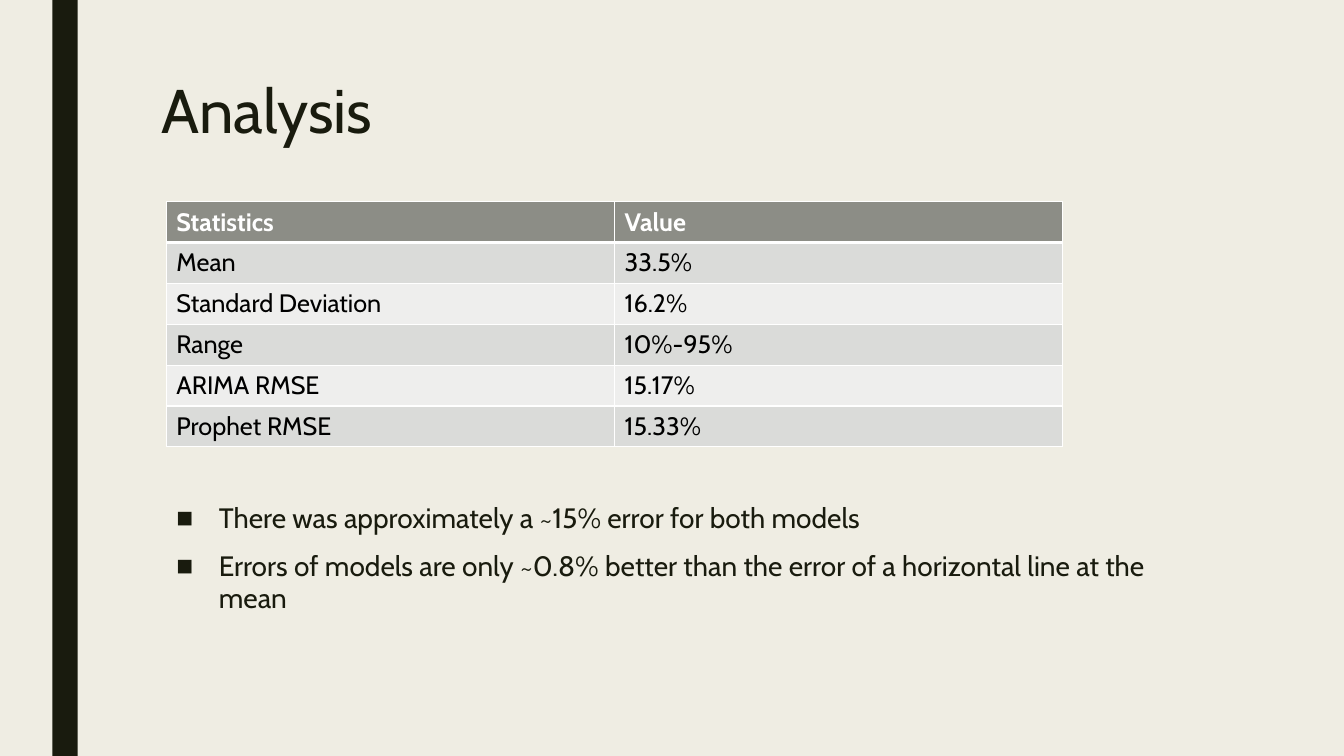
from lxml import etree
from pptx import Presentation
from pptx import util as u
from pptx.dml import color
from pptx.enum import shapes, text
from pptx.oxml import ns

INK = "191B0E"
STATISTICS = [
    ("Statistics", "Value"),
    ("Mean", "33.5%"),
    ("Standard Deviation", "16.2%"),
    ("Range", "10%-95%"),
    ("ARIMA RMSE", "15.17%"),
    ("Prophet RMSE", "15.33%"),
]
FINDINGS = [
    "There was approximately a ~15% error for both models",
    "Errors of models are only ~0.8% better than the error of a horizontal line at the mean",
]


def rgb(value):
    """Return the colour for a hex string."""
    return color.RGBColor.from_string(value)


def paint(fill, value):
    """Make a fill solid in the given colour."""
    fill.solid()
    fill.fore_color.rgb = rgb(value)


def apply(target, formats):
    """Set each attribute in a dict of format values."""
    for key, value in formats.items():
        setattr(target, key, value)


def style_font(font, size, value, bold=False):
    """Give a font the deck typeface, size, colour and weight."""
    apply(font, {"name": "Cabin", "size": u.Pt(size), "bold": bold})
    font.color.rgb = rgb(value)


def place(shape, box):
    """Move a shape to a box given in inches."""
    apply(shape, dict(zip(("left", "top", "width", "height"), map(u.Inches, box))))


def fit_frame(frame):
    """Anchor wrapped text at the top without resizing it."""
    apply(frame, {
        "word_wrap": True,
        "auto_size": text.MSO_AUTO_SIZE.NONE,
        "vertical_anchor": text.MSO_ANCHOR.TOP,
    })


def add_stripe(slide, box):
    """Draw the dark vertical stripe."""
    stripe = slide.shapes.add_shape(shapes.MSO_SHAPE.RECTANGLE, *map(u.Inches, box))
    paint(stripe.fill, INK)
    stripe.line.fill.background()
    stripe.shadow.inherit = False


def add_heading(slide, box, wording):
    """Fill the title placeholder."""
    heading = slide.shapes.title
    place(heading, box)
    fit_frame(heading.text_frame)
    line = heading.text_frame.paragraphs[0]
    line.text = wording
    apply(line, {"alignment": text.PP_ALIGN.LEFT, "line_spacing": 0.89})
    style_font(line.runs[0].font, 44, INK)


def add_findings(slide, box, findings):
    """Fill the body placeholder with square-bulleted findings."""
    body = slide.placeholders[1]
    place(body, box)
    frame = body.text_frame
    fit_frame(frame)
    frame.text = "\n".join(findings)
    hang = u.Inches(0.42)
    for finding in frame.paragraphs:
        apply(finding, {
            "alignment": text.PP_ALIGN.LEFT,
            "line_spacing": 0.94,
            "space_before": u.Pt(10),
            "space_after": u.Pt(2),
        })
        style_font(finding.runs[0].font, 20, INK)
        properties = finding._p.get_or_add_pPr()
        properties.set("marL", str(hang))
        properties.set("indent", str(-hang))
        etree.SubElement(properties, ns.qn("a:buChar"), char="■")


def add_border(cell, side, points):
    """Add a white border to one side of a cell."""
    edge = etree.SubElement(cell._tc.get_or_add_tcPr(), ns.qn(f"a:ln{side}"), w=str(u.Pt(points)))
    solid = etree.SubElement(edge, ns.qn("a:solidFill"))
    etree.SubElement(solid, ns.qn("a:srgbClr"), val="FFFFFF")


def add_statistics(slide, box, rows):
    """Draw the banded table of statistics."""
    table = slide.shapes.add_table(len(rows), len(rows[0]), *map(u.Inches, box)).table
    for r, row in enumerate(rows):
        header = r == 0
        band = "8C8D86" if header else ("EEEEED", "DADBD9")[r % 2]
        for c, wording in enumerate(row):
            cell = table.cell(r, c)
            cell.text = wording
            style_font(cell.text_frame.paragraphs[0].runs[0].font, 18,
                       "FFFFFF" if header else "000000", header)
            widths = {"L": 1, "R": 1, "T": 3 if r == 1 else 1, "B": 3 if header else 1}
            for side, points in widths.items():
                add_border(cell, side, points)
            paint(cell.fill, band)


def build_analysis(deck):
    """Build the analysis slide."""
    slide = deck.slides.add_slide(deck.slide_layouts[1])
    paint(slide.background.fill, "EFEDE3")
    add_stripe(slide, (0.52, 0, 0.25, 7.5))
    add_heading(slide, (1.5, 0.75, 10.5, 1.62), "Analysis")
    add_findings(slide, (1.65, 4.94, 10.5, 3.92), FINDINGS)
    add_statistics(slide, (1.65, 2, 8.89, 2.43), STATISTICS)


def main():
    """Create and save the deck."""
    deck = Presentation()
    apply(deck, {"slide_width": u.Inches(13.33), "slide_height": u.Inches(7.5)})
    build_analysis(deck)
    deck.save("out.pptx")


if __name__ == "__main__":
    main()
